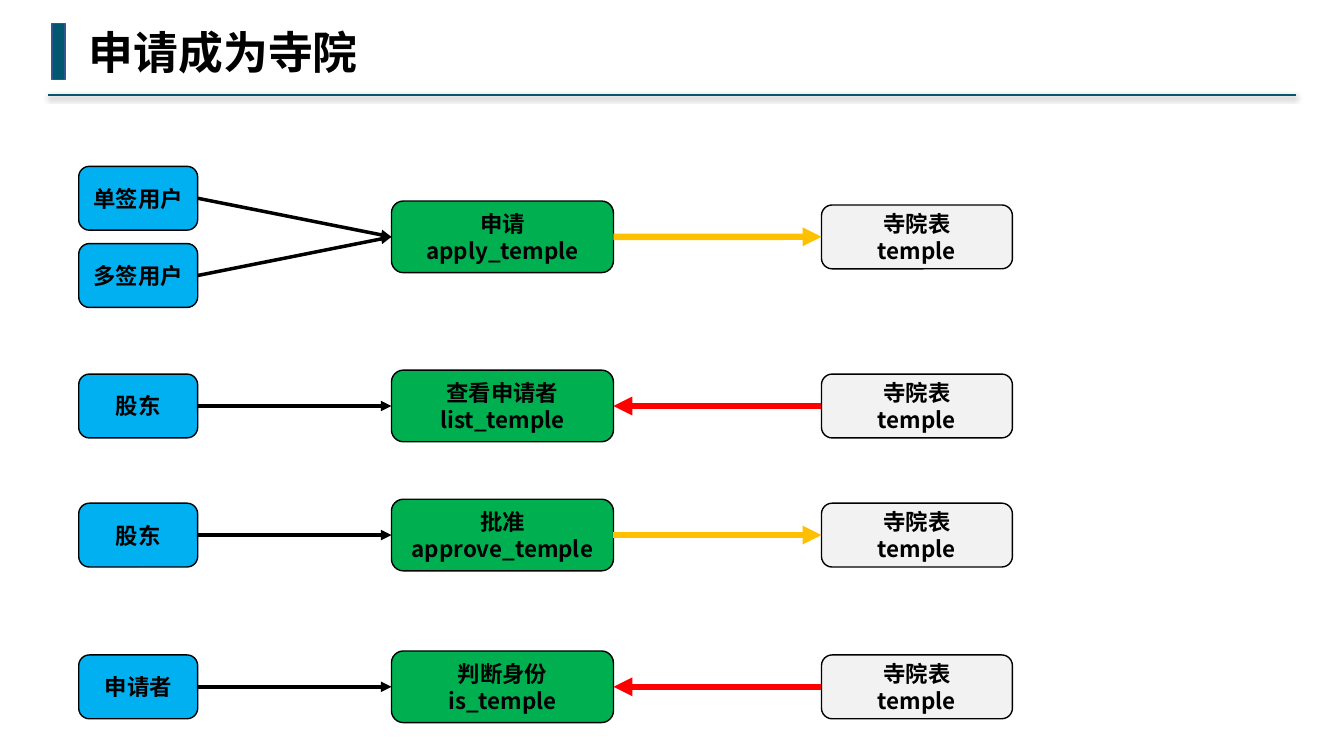
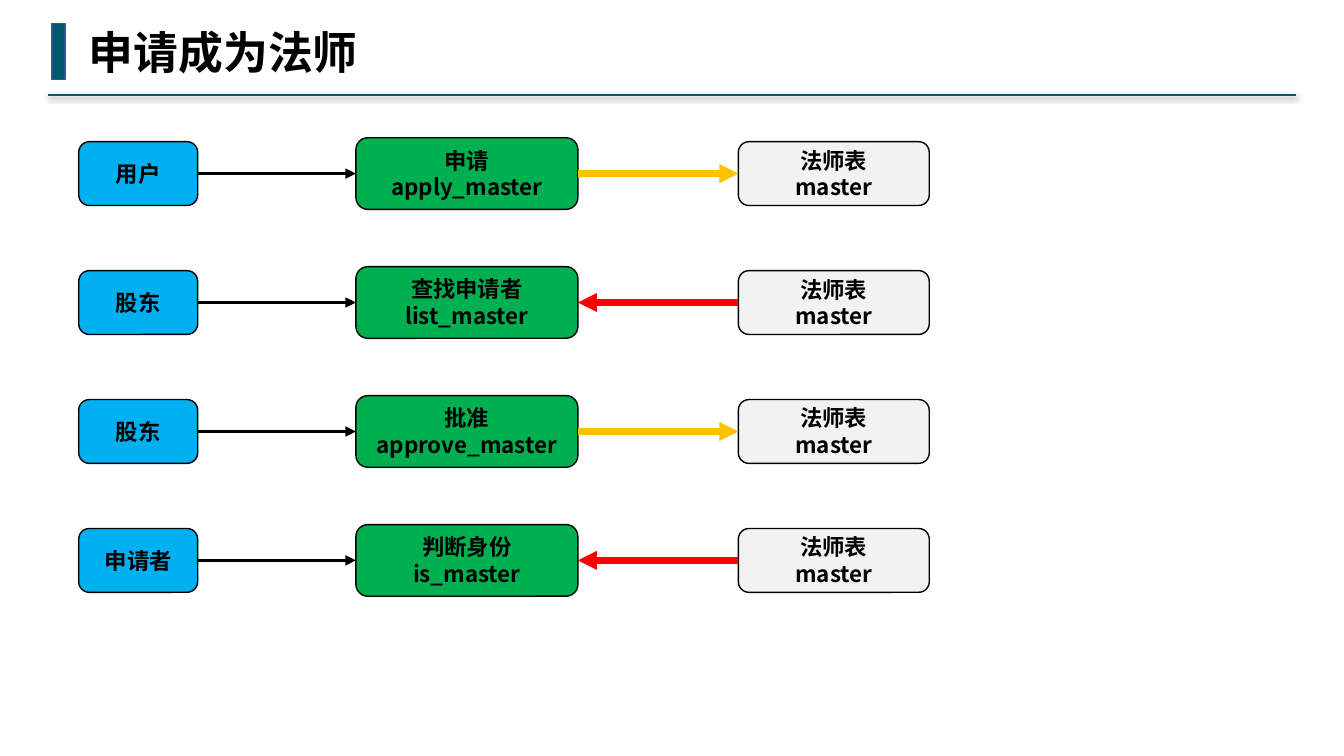
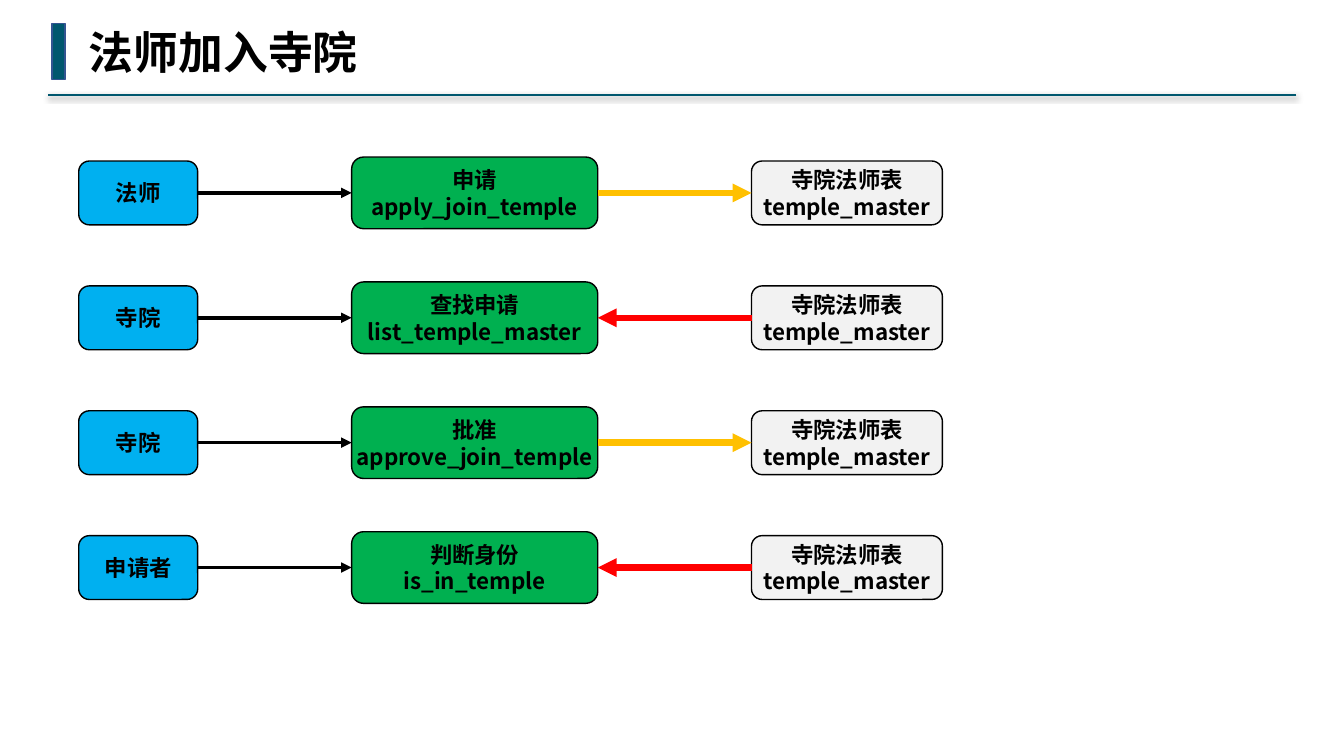
from dataclasses import dataclass

from lxml import etree
from pptx import Presentation
from pptx.dml.color import RGBColor
from pptx.enum.shapes import MSO_CONNECTOR, MSO_SHAPE
from pptx.enum.text import MSO_ANCHOR, MSO_AUTO_SIZE, PP_ALIGN
from pptx.oxml.ns import qn
from pptx.util import Pt

STRAIGHT = MSO_CONNECTOR.STRAIGHT
RECT, ROUND = MSO_SHAPE.RECTANGLE, MSO_SHAPE.ROUNDED_RECTANGLE
TOP, MIDDLE = MSO_ANCHOR.TOP, MSO_ANCHOR.MIDDLE
LEFT, CENTER = PP_ALIGN.LEFT, PP_ALIGN.CENTER
NO_FIT = MSO_AUTO_SIZE.NONE
LEFT_SITE, RIGHT_SITE = 1, 3
FETCH, STORE = "fetch", "store"


@dataclass(frozen=True)
class Theme:
    ink: str = "000000"
    teal: str = "00576E"
    edge: str = "325491"
    blue: str = "00B0F0"
    green: str = "00B050"
    gray: str = "F2F2F2"
    red: str = "FF0000"
    gold: str = "FFC000"
    font: str = "Noto Sans CJK SC"
    head: str = "Noto Sans Mono"
    title: float = 32
    body: float = 16
    thin: float = 1
    rule: float = 1.5
    step: float = 2.5
    flow: float = 4.5


def put(item, **values):
    for name, value in values.items():
        setattr(item, name, value)


def node(parent, tag, **values):
    return etree.SubElement(parent, qn(tag), {k: str(v) for k, v in values.items()})


class Deck:
    user_x, user_w, low = 56.2, 85, 45.6
    call_h, table_w = 51.2, 136.4
    user_gap = 55.2

    def __init__(self, theme):
        self.theme = theme
        self.prs = Presentation()
        put(self.prs, slide_width=Pt(960), slide_height=Pt(540))
        self.slide = None

    # Text and line styles
    def style(self, item, align, face, size):
        for para in item.text_frame.paragraphs:
            para.alignment = align
            for run in para.runs:
                put(run.font, name=face, size=Pt(size), bold=True)
                run.font.color.rgb = RGBColor.from_string(self.theme.ink)
        for props in item.element.iter(qn("a:rPr")):
            node(props, "a:ea", typeface=self.theme.font)

    def stroke(self, item, color, width):
        item.line.color.rgb = RGBColor.from_string(color)
        item.line.width = Pt(width)

    # Basic elements
    def shape(self, kind, x, y, w, h, fill, edge):
        item = self.slide.shapes.add_shape(kind, Pt(x), Pt(y), Pt(w), Pt(h))
        item.shadow.inherit = False
        item.fill.solid()
        item.fill.fore_color.rgb = RGBColor.from_string(fill)
        self.stroke(item, edge, self.theme.thin)
        return item

    def box(self, text, x, mid, w, h, fill):
        item = self.shape(ROUND, x, mid - h / 2, w, h, fill, self.theme.ink)
        pad = Pt(2.8)
        put(item.text_frame, text=text, word_wrap=False, vertical_anchor=MIDDLE,
            margin_left=pad, margin_right=pad, margin_top=pad, margin_bottom=pad)
        self.style(item, CENTER, self.theme.font, self.theme.body)
        return item

    def line(self, x1, y1, x2, y2, color, width):
        item = self.slide.shapes.add_connector(STRAIGHT, Pt(x1), Pt(y1), Pt(x2), Pt(y2))
        self.stroke(item, color, width)
        return item, node(item.element.spPr, "a:effectLst")

    def arrow(self, start, end, color, width, sites=(RIGHT_SITE, LEFT_SITE)):
        item, _ = self.line(0, 0, 0, 0, color, width)
        item.begin_connect(start, sites[0])
        item.end_connect(end, sites[1])
        node(item.element.spPr.find(qn("a:ln")), "a:tailEnd", type="triangle")

    # Page header
    def page(self, text):
        t = self.theme
        self.slide = self.prs.slides.add_slide(self.prs.slide_layouts[5])
        title = self.slide.shapes.title
        put(title, left=Pt(56.2), top=Pt(13.7), width=Pt(208), height=Pt(46))
        put(title.text_frame, text=text, word_wrap=False, auto_size=NO_FIT,
            vertical_anchor=TOP, margin_left=Pt(7.2), margin_right=Pt(7.2),
            margin_top=Pt(3.6), margin_bottom=Pt(3.6))
        self.style(title, LEFT, t.head, t.title)
        self.shape(RECT, 37.2, 16.6, 9.4, 40.2, t.teal, t.edge)
        _, effects = self.line(926, 68.2, 34, 68.2, t.teal, t.rule)
        shadow = node(effects, "a:outerShdw", blurRad=Pt(4), dist=Pt(1),
                      dir=90 * 60000, rotWithShape=0)
        node(node(shadow, "a:srgbClr", val=t.ink), "a:alpha", val=40000)

    # One row: users, the call they make, the table it fetches from or stores to
    def row(self, mid, users, call, table, mode, call_x, call_w, table_x):
        t = self.theme
        action = self.box(call, call_x, mid, call_w, self.call_h, t.green)
        data = self.box(table, table_x, mid, self.table_w, self.low, t.gray)
        first = mid - (len(users) - 1) * self.user_gap / 2
        for i, name in enumerate(users):
            user = self.box(name, self.user_x, first + i * self.user_gap,
                            self.user_w, self.low, t.blue)
            self.arrow(user, action, t.ink, t.step)
        if mode == STORE:
            self.arrow(action, data, t.gold, t.flow)
        else:
            self.arrow(data, action, t.red, t.flow, (LEFT_SITE, RIGHT_SITE))


# Title, table, columns, row centres, rows
PAGES = [
    ("申请成为寺院", "寺院表\ntemple",
     dict(call_x=279.6, call_w=158.6, table_x=586.8),
     [169.2, 290, 382.2, 490.6],
     [(["单签用户", "多签用户"], "申请\napply_temple", STORE),
      (["股东"], "查看申请者\nlist_temple", FETCH),
      (["股东"], "批准\napprove_temple", STORE),
      (["申请者"], "判断身份\nis_temple", FETCH)]),
    ("申请成为法师", "法师表\nmaster",
     dict(call_x=254.2, call_w=158.6, table_x=527.4),
     [124 + 92.1 * i for i in range(4)],
     [(["用户"], "申请\napply_master", STORE),
      (["股东"], "查找申请者\nlist_master", FETCH),
      (["股东"], "批准\napprove_master", STORE),
      (["申请者"], "判断身份\nis_master", FETCH)]),
    ("法师加入寺院", "寺院法师表\ntemple_master",
     dict(call_x=251.2, call_w=175.8, table_x=536.8),
     [137.8 + 89.2 * i for i in range(4)],
     [(["法师"], "申请\napply_join_temple", STORE),
      (["寺院"], "查找申请\nlist_temple_master", FETCH),
      (["寺院"], "批准\napprove_join_temple", STORE),
      (["申请者"], "判断身份\nis_in_temple", FETCH)]),
]


def main():
    deck = Deck(Theme())
    for title, table, cols, mids, rows in PAGES:
        deck.page(title)
        for mid, (users, call, mode) in zip(mids, rows):
            deck.row(mid, users, call, table, mode, **cols)
    deck.prs.save("out.pptx")


if __name__ == "__main__":
    main()
